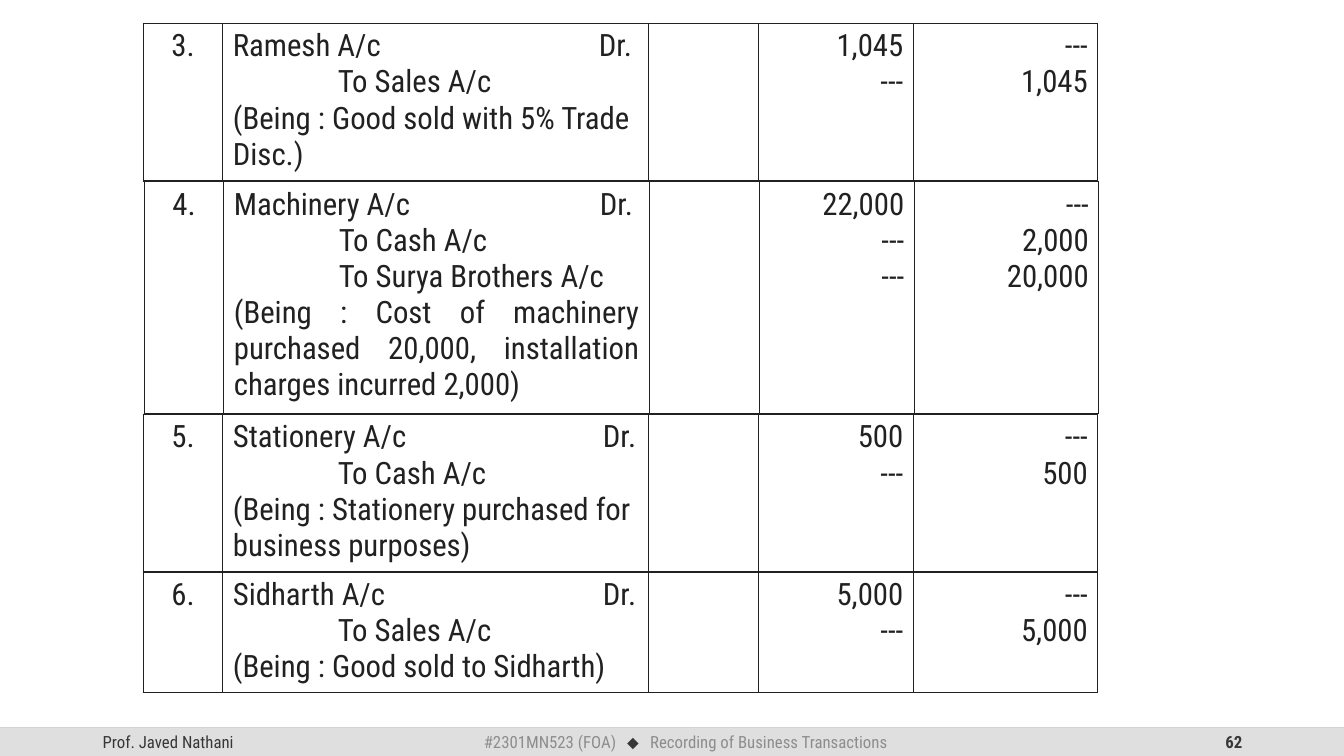
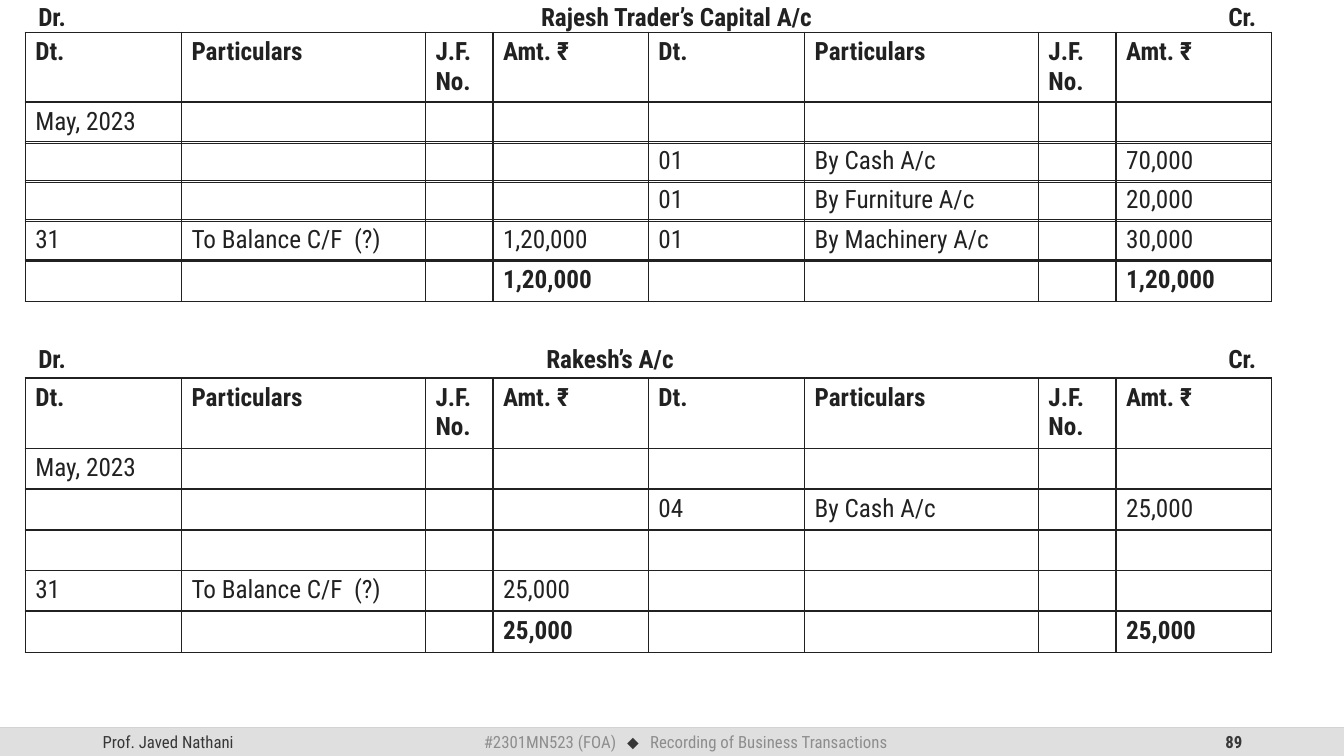
from dataclasses import dataclass

from lxml import etree
from pptx import Presentation
from pptx.dml.color import RGBColor
from pptx.enum.shapes import MSO_CONNECTOR, MSO_SHAPE
from pptx.enum.text import MSO_ANCHOR, PP_ALIGN as AL
from pptx.oxml.ns import qn
from pptx.util import Inches, Pt


@dataclass(frozen=True)
class Theme:
    font: str = "Roboto Condensed"
    symbol_font: str = "Arial"
    ink: str = "212121"
    footer_ink: str = "373737"
    footer_muted: str = "8D8D8D"
    band: str = "DFDFDF"
    rule: str = "BFBFBF"
    panel: str = "FFFFFF"
    journal_size: int = 22
    ledger_size: int = 18
    footer_size: int = 12


TH = Theme()

# ---- Content ----
AUTHOR = "Prof. Javed Nathani"
COURSE, CHAPTER = "#2301MN523 (FOA)", "Recording of Business Transactions"
JOURNAL_PAGE, LEDGER_PAGE = "62", "89"

# Each entry: left, top, height, number, debited account, tab of "Dr.",
# credited accounts, narration, narration alignment, debits, credits
JOURNAL = [
    (1.42, 0.23, 1.57, "3.", "Ramesh A/c", 3.63, ["To Sales A/c"],
     "(Being : Good sold with 5% Trade Disc.)", AL.LEFT,
     ["1,045", "---"], ["---", "1,045"]),
    (1.42, 4.11, 1.57, "5.", "Stationery A/c", 3.67, ["To Cash A/c"],
     "(Being : Stationery purchased for business purposes)", AL.LEFT,
     ["500", "---"], ["---", "500"]),
    (1.42, 5.67, 1.2, "6.", "Sidharth A/c", 3.67, ["To Sales A/c"],
     "(Being : Good sold to Sidharth)", AL.LEFT,
     ["5,000", "---"], ["---", "5,000"]),
    (1.43, 1.8, 2.3, "4.", "Machinery A/c", 3.63,
     ["To Cash A/c", "To Surya Brothers A/c"],
     "(Being : Cost of machinery purchased 20,000, installation charges incurred 2,000)",
     AL.JUSTIFY, ["22,000", "---", "---"], ["---", "2,000", "20,000"]),
]

LEDGER_HEAD = ["Dt.", "Particulars", "J.F.\nNo.", "Amt. ₹"] * 2
NO_ENTRY = [""] * 4
MONTH = ["May, 2023", "", "", ""]
BALANCE = "To Balance C/F  (?)"


def total(amount):
    return ["", "", "", amount]


# Each account: title, title centre, caption top, heading top,
# then its rows as (top, debit side, credit side)
LEDGERS = [
    ("Rajesh Trader’s Capital A/c", 6.71, -0.04, 0.32, [
        (1.01, MONTH, NO_ENTRY),
        (1.4, NO_ENTRY, ["01", "By Cash A/c", "", "70,000"]),
        (1.79, NO_ENTRY, ["01", "By Furniture A/c", "", "20,000"]),
        (2.18, ["31", BALANCE, "", "1,20,000"],
         ["01", "By Machinery A/c", "", "30,000"]),
        (2.58, total("1,20,000"), total("1,20,000")),
    ]),
    ("Rakesh’s A/c", 6.05, 3.36, 3.75, [
        (4.45, MONTH, NO_ENTRY),
        (4.85, NO_ENTRY, ["04", "By Cash A/c", "", "25,000"]),
        (5.25, NO_ENTRY, NO_ENTRY),
        (5.66, ["31", BALANCE, "", "25,000"], NO_ENTRY),
        (6.06, total("25,000"), total("25,000")),
    ]),
]

# ---- Geometry in inches ----
SLIDE_W, SLIDE_H = 13.33, 7.5
FOOTER_TOP, FOOTER_H = 7.22, 0.28
JOURNAL_COLS, JOURNAL_ROW_H = [0.79, 4.22, 1.09, 1.54, 1.83], 0.98
CREDIT_INDENT = 1.04
LEDGER_LEFT = 0.25
DEBIT_COLS, CREDIT_COLS = [1.55, 2.42, 0.67, 1.54], [1.55, 2.32, 0.77, 1.54]
LEDGER_COLS = DEBIT_COLS + CREDIT_COLS
CREDIT_LEFT = LEDGER_LEFT + sum(DEBIT_COLS)
HEAD_ROW_H, HEAD_H, LEDGER_ROW_H = 0.13, 0.7, 0.41
CAPTION_INSET, CR_EDGE = 0.13, 12.46


# ---- Text helpers ----
def style(p, size, color=TH.ink, bold=False, align=AL.LEFT):
    p.alignment = align
    for r in p.runs:
        r.font.name, r.font.size, r.font.bold = TH.font, Pt(size), bold
        r.font.color.rgb = RGBColor.from_string(color)


def set_tabs(p, *stops):
    tabs = etree.SubElement(p._p.get_or_add_pPr(), qn("a:tabLst"))
    for pos, align in stops:
        etree.SubElement(tabs, qn("a:tab"), pos=str(Inches(pos)), algn=align)


def add_text(s, left, top, width, height, text, stops=()):
    box = s.shapes.add_textbox(Inches(left), Inches(top), Inches(width), Inches(height))
    tf = box.text_frame
    tf.word_wrap = True
    p = tf.paragraphs[0]
    if stops:
        set_tabs(p, *stops)
    p.text = text
    return box, p


def add_footer_text(s, left, width, text, stops=(), **look):
    box, p = add_text(s, left, FOOTER_TOP, width, FOOTER_H, text, stops)
    box.text_frame.vertical_anchor = MSO_ANCHOR.MIDDLE
    style(p, TH.footer_size, **look)
    return box, p


# ---- Table helpers ----
def format_cell(cell):
    cell.fill.background()
    tcPr = cell._tc.get_or_add_tcPr()
    for i, side in enumerate(("lnL", "lnR", "lnT", "lnB")):
        ln = etree.Element(qn(f"a:{side}"), w=str(Pt(1)))
        fill = etree.SubElement(ln, qn("a:solidFill"))
        etree.SubElement(fill, qn("a:srgbClr"), val=TH.ink)
        tcPr.insert(i, ln)
    # Keeps an empty cell from stretching its row
    for p in cell.text_frame.paragraphs:
        p._p.get_or_add_endParaRPr().set("sz", "1200")


def fill_cell(cell, text, size, bold=False, align=AL.LEFT):
    if text:
        cell.text_frame.text = text
        for p in cell.text_frame.paragraphs:
            style(p, size, bold=bold, align=align)


def add_row_table(s, left, top, cols, row_h, height):
    """Add a one-row table and return its cells."""
    frame = s.shapes.add_table(1, len(cols), Inches(left), Inches(top),
                               Inches(sum(cols)), Inches(height))
    table = frame.table
    table.first_row = table.horz_banding = False
    for column, width in zip(table.columns, cols):
        column.width = Inches(width)
    table.rows[0].height = Inches(row_h)
    frame.height = Inches(height)
    cells = list(table.iter_cells())
    for cell in cells:
        format_cell(cell)
    return cells


def add_ledger_row(s, left, top, cols, texts, row_h=LEDGER_ROW_H,
                   height=LEDGER_ROW_H, bold=False):
    for cell, text in zip(add_row_table(s, left, top, cols, row_h, height), texts):
        fill_cell(cell, text, TH.ledger_size, bold)


# ---- Slide parts ----
def set_alpha(color_format, percent):
    color = color_format._xFill.find(qn("a:srgbClr"))
    etree.SubElement(color, qn("a:alpha"), val=str(percent * 1000))


def add_block(s, left, top, width, height, color):
    block = s.shapes.add_shape(MSO_SHAPE.RECTANGLE, Inches(left), Inches(top),
                               Inches(width), Inches(height))
    block.shadow.inherit = False
    block.fill.solid()
    block.fill.fore_color.rgb = RGBColor.from_string(color)
    block.line.fill.background()
    return block


def move_footer_to_layout(s):
    """Draw the shared footer and store it in the slide's layout."""
    layout = s.slide_layout
    for ph in list(layout.placeholders):
        ph._element.getparent().remove(ph._element)

    rule = s.shapes.add_connector(MSO_CONNECTOR.STRAIGHT, 0, Inches(FOOTER_TOP),
                                  Inches(SLIDE_W), Inches(FOOTER_TOP))
    rule.line.color.rgb = RGBColor.from_string(TH.rule)
    rule.line.width = Pt(1)
    etree.SubElement(rule._element.spPr, qn("a:effectLst"))

    panel = add_block(s, 11.33, 6.54, 1.8, 0.55, TH.panel)
    band = add_block(s, 0, FOOTER_TOP, SLIDE_W, FOOTER_H, TH.band)
    for sp, percent in ((rule, 70), (panel, 60)):
        color = sp._element.spPr.find(f".//{qn('a:srgbClr')}")
        etree.SubElement(color, qn("a:alpha"), val=str(percent * 1000))

    author, _ = add_footer_text(s, 0.92, 3, AUTHOR, color=TH.footer_ink)
    course, p = add_footer_text(s, 4.7, 4.72, f"{COURSE}\t",
                                [(1.48, "ctr"), (1.65, "l")], color=TH.footer_muted)
    for text in ("⬥", f"\t{CHAPTER}"):
        p.add_run().text = text
    style(p, TH.footer_size, TH.footer_muted)
    diamond = p.runs[1].font
    diamond.name = TH.symbol_font
    diamond.color.rgb = RGBColor.from_string(TH.footer_ink)

    for sp in (rule, panel, band, author, course):
        layout.shapes._spTree.append(sp._element)


def add_page_number(s, number):
    add_footer_text(s, 9.42, 3, number, color=TH.footer_ink, bold=True, align=AL.RIGHT)


def add_journal_entry(s, entry):
    (left, top, height, number, account, dr_tab, credited,
     narration, align, debits, credits) = entry
    cells = add_row_table(s, left, top, JOURNAL_COLS, JOURNAL_ROW_H, height)
    size = TH.journal_size
    fill_cell(cells[0], number, size, align=AL.CENTER)
    fill_cell(cells[1], "\n".join([f"{account}\tDr.", *credited, narration]), size)
    first, *to_lines, last = cells[1].text_frame.paragraphs
    set_tabs(first, (dr_tab, "l"))
    for p in to_lines:
        p._p.get_or_add_pPr().set("marL", str(Inches(CREDIT_INDENT)))
    last.alignment = align
    fill_cell(cells[3], "\n".join(debits), size, align=AL.RIGHT)
    fill_cell(cells[4], "\n".join(credits), size, align=AL.RIGHT)


def add_ledger(s, title, centre, caption_top, head_top, rows):
    text_left = LEDGER_LEFT + CAPTION_INSET
    box, p = add_text(s, LEDGER_LEFT, caption_top, sum(LEDGER_COLS), 0.4,
                      f"Dr.\t{title}\tCr.",
                      [(centre - text_left, "ctr"), (CR_EDGE - text_left, "r")])
    box.text_frame.margin_left = Inches(CAPTION_INSET)
    style(p, TH.ledger_size, bold=True)

    add_ledger_row(s, LEDGER_LEFT, head_top, LEDGER_COLS, LEDGER_HEAD,
                   HEAD_ROW_H, HEAD_H, bold=True)
    for row in rows:
        top, debit, credit = row
        is_total = row is rows[-1]
        add_ledger_row(s, LEDGER_LEFT, top, DEBIT_COLS, debit, bold=is_total)
        add_ledger_row(s, CREDIT_LEFT, top, CREDIT_COLS, credit, bold=is_total)


def main():
    prs = Presentation()
    prs.slide_width, prs.slide_height = Inches(SLIDE_W), Inches(SLIDE_H)
    blank = prs.slide_layouts[6]

    # Journal entries
    s = prs.slides.add_slide(blank)
    move_footer_to_layout(s)
    add_page_number(s, JOURNAL_PAGE)
    for entry in JOURNAL:
        add_journal_entry(s, entry)

    # Ledger accounts
    s = prs.slides.add_slide(blank)
    add_page_number(s, LEDGER_PAGE)
    for ledger in LEDGERS:
        add_ledger(s, *ledger)

    prs.save("out.pptx")


if __name__ == "__main__":
    main()
